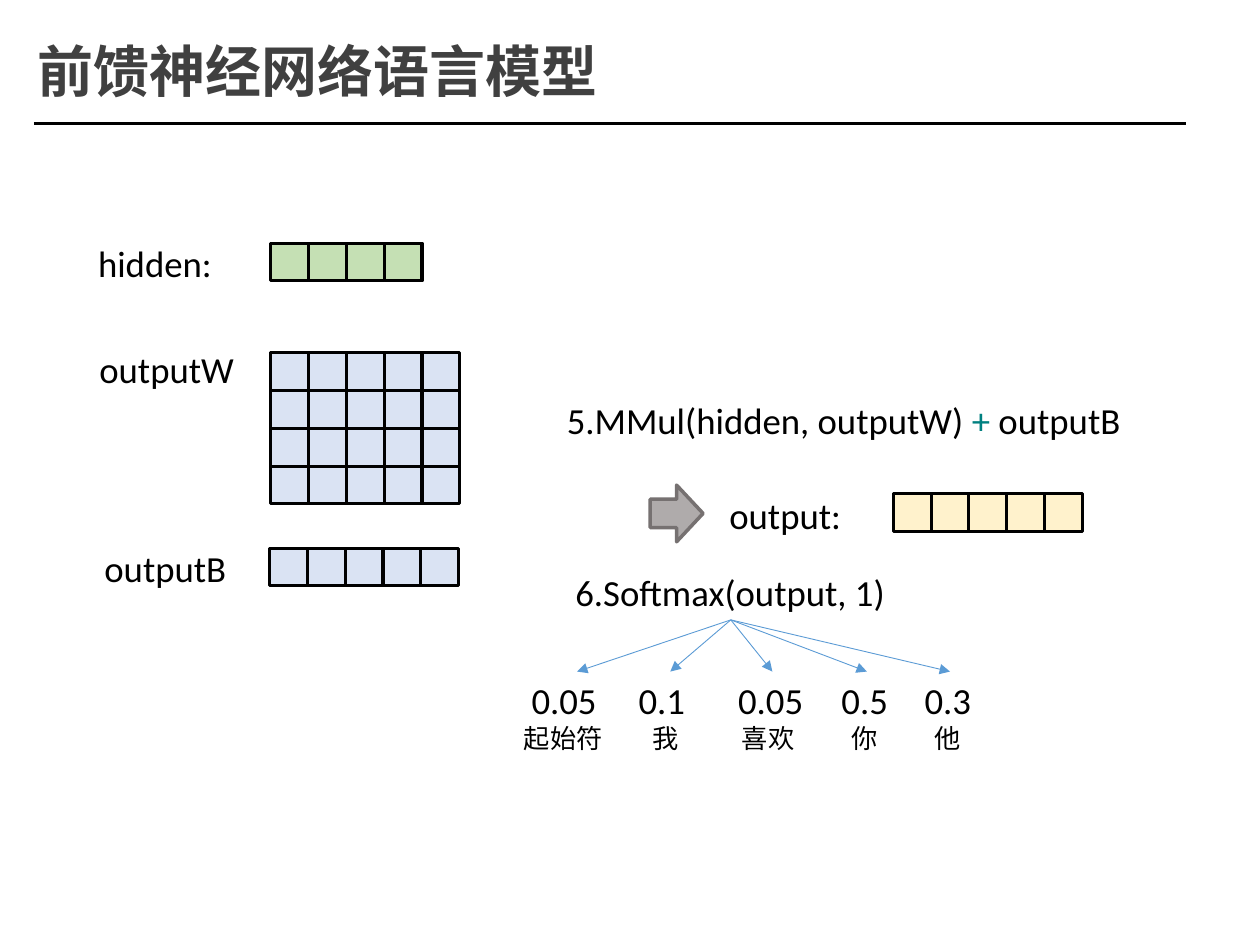
from lxml import etree
from pptx import Presentation
from pptx.dml.color import RGBColor
from pptx.enum import shapes, text
from pptx.oxml import ns
from pptx.util import Inches, Pt

BLACK, TEAL, BLUE = "000000", "008080", "5B9BD5"
GREEN_CELL, BLUE_CELL, YELLOW_CELL = "C5E0B4", "DAE3F3", "FFF2CC"
LATIN, CJK = "Calibri", "Noto Sans CJK SC"


def color(hex_value):
    """Turn a hex string into a colour."""
    return RGBColor.from_string(hex_value)


def add_label(slide, left, top, width, runs, size=21, height=0.45, wrap=True, align=None):
    """Add a line of text given as (wording, colour) runs."""
    label = slide.shapes.add_textbox(Inches(left), Inches(top), Inches(width), Inches(height))
    frame = label.text_frame
    frame.word_wrap = wrap
    paragraph = frame.paragraphs[0]
    paragraph.alignment = align
    for wording, hex_value in runs:
        run = paragraph.add_run()
        run.text = wording
        run.font.size = Pt(size)
        run.font.name = LATIN
        run.font.color.rgb = color(hex_value)
    return label


def add_title(slide, wording):
    """Add the bold slide title and the rule under it."""
    title = add_label(slide, 0.2, 0.29, 4.86, [(wording, "404040")], size=32, height=0.64)
    title.text_frame.margin_top = title.text_frame.margin_bottom = 0
    font = title.text_frame.paragraphs[0].runs[0].font
    font.bold = True
    font.name = CJK
    etree.SubElement(font._element, ns.qn("a:ea"), typeface=CJK)
    add_line(slide, (0.27, 0.98), (9.41, 0.98), BLACK, 1.5)


def add_block(slide, kind, left, top, width, height, fill, outline, weight):
    """Add a filled and outlined preset shape."""
    block = slide.shapes.add_shape(kind, Inches(left), Inches(top), Inches(width), Inches(height))
    block.shadow.inherit = False
    block.fill.solid()
    block.fill.fore_color.rgb = color(fill)
    block.line.color.rgb = color(outline)
    block.line.width = Pt(weight)


def add_matrix(slide, left, top, rows, columns, fill, pitch=0.3):
    """Add a grid of square cells."""
    for row in range(rows):
        for column in range(columns):
            add_block(slide, shapes.MSO_SHAPE.RECTANGLE, left + column * pitch,
                      top + row * pitch, 0.3, 0.3, fill, BLACK, 1.75)


def add_line(slide, start, end, hex_value, weight, arrow=False):
    """Add a straight line, with an arrowhead at its end if asked."""
    line = slide.shapes.add_connector(
        shapes.MSO_CONNECTOR.STRAIGHT, *(Inches(value) for value in (*start, *end)))
    line.line.color.rgb = color(hex_value)
    line.line.width = Pt(weight)
    if arrow:
        etree.SubElement(line.line._get_or_add_ln(), ns.qn("a:tailEnd"), type="triangle")
    etree.SubElement(line._element.spPr, ns.qn("a:effectLst"))


def add_probabilities(slide):
    """Add the softmax fan with each word and its probability."""
    words = [
        ("0.05", 4.12, 0.91, 4.58, "起始符", 4.06, 0.83),
        ("0.1", 4.97, 0.7, 5.32, "我", 5.08, 0.41),
        ("0.05", 5.76, 0.73, 6.13, "喜欢", 5.79, 0.62),
        ("0.5", 6.58, 0.6, 6.88, "你", 6.66, 0.41),
        ("0.3", 7.24, 0.6, 7.54, "他", 7.32, 0.41),
    ]
    for chance, chance_left, chance_width, tip, word, word_left, word_width in words:
        add_label(slide, chance_left, 5.33, chance_width, [(chance, BLACK)])
        add_line(slide, (5.8, 4.92), (tip, 5.33), BLUE, 0.5, arrow=True)
        add_label(slide, word_left, 5.68, word_width, [(word, BLACK)],
                  size=15, height=0.35, wrap=False)


def main():
    """Build the output layer slide."""
    deck = Presentation()
    deck.slide_width, deck.slide_height = Inches(10), Inches(7.5)
    slide = deck.slides.add_slide(deck.slide_layouts[6])

    add_title(slide, "前馈神经网络语言模型")

    add_label(slide, 0.68, 1.86, 1.23, [("hidden:", BLACK)])
    add_matrix(slide, 2.15, 1.93, 1, 4, GREEN_CELL)
    add_label(slide, 0.69, 2.7, 1.68, [("outputW", BLACK)])
    add_matrix(slide, 2.15, 2.8, 4, 5, BLUE_CELL)
    add_label(slide, 0.73, 4.28, 1.35, [("outputB", BLACK)])
    add_matrix(slide, 2.14, 4.35, 1, 5, BLUE_CELL)

    add_label(slide, 4.4, 3.11, 4.84, [("5.MMul(hidden, outputW) ", BLACK), ("+ ", TEAL),
                                       ("outputB", BLACK)], wrap=False)
    add_block(slide, shapes.MSO_SHAPE.RIGHT_ARROW, 5.16, 3.85, 0.42, 0.45,
              "AFABAB", "767171", 2)
    add_label(slide, 5.69, 3.86, 1.23, [("output:", BLACK)])
    add_matrix(slide, 7.09, 3.92, 1, 5, YELLOW_CELL)
    add_label(slide, 4.13, 4.47, 3.33, [("6.Softmax(output, 1)", BLACK)],
              align=text.PP_ALIGN.CENTER)
    add_probabilities(slide)

    deck.save("out.pptx")


if __name__ == "__main__":
    main()
